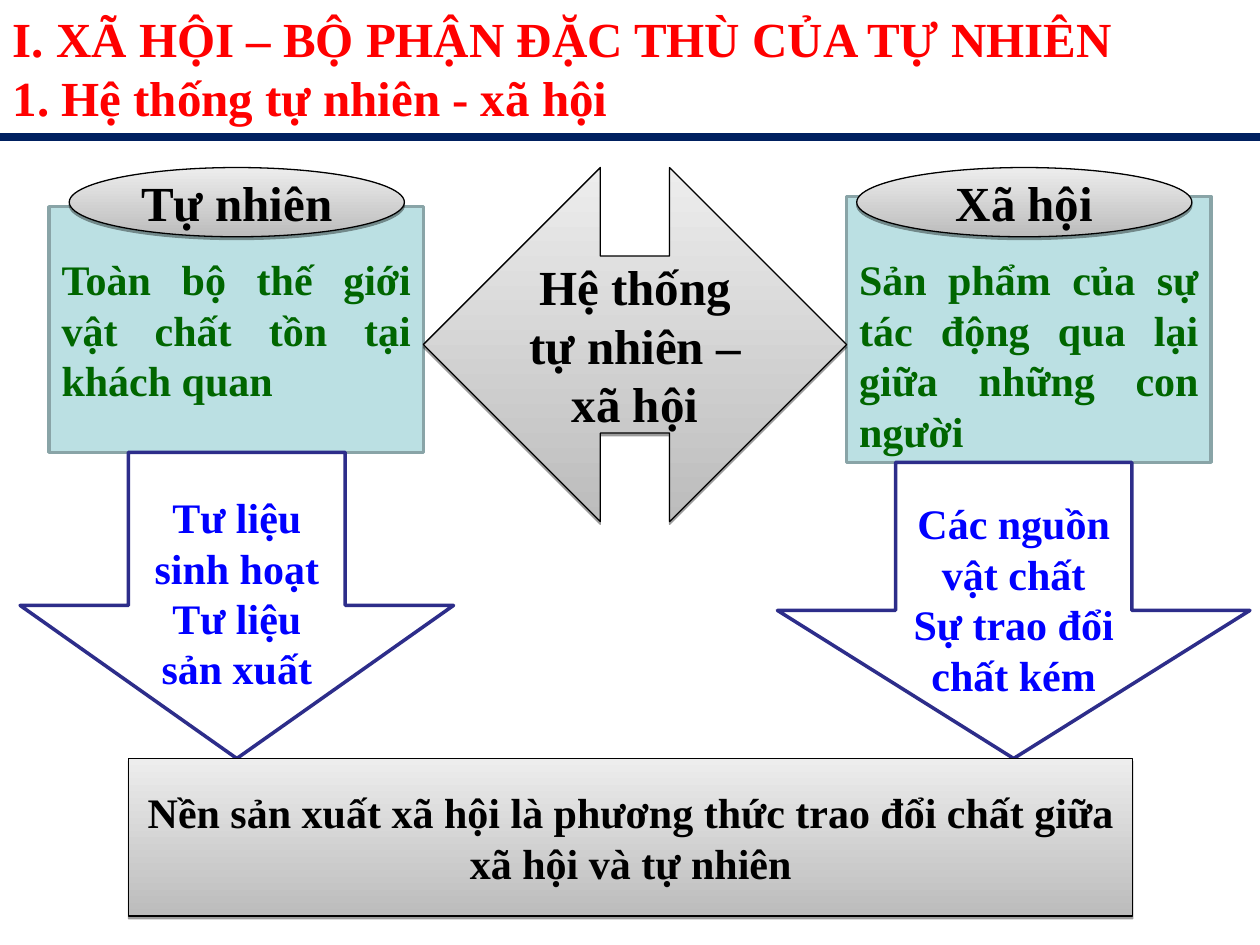
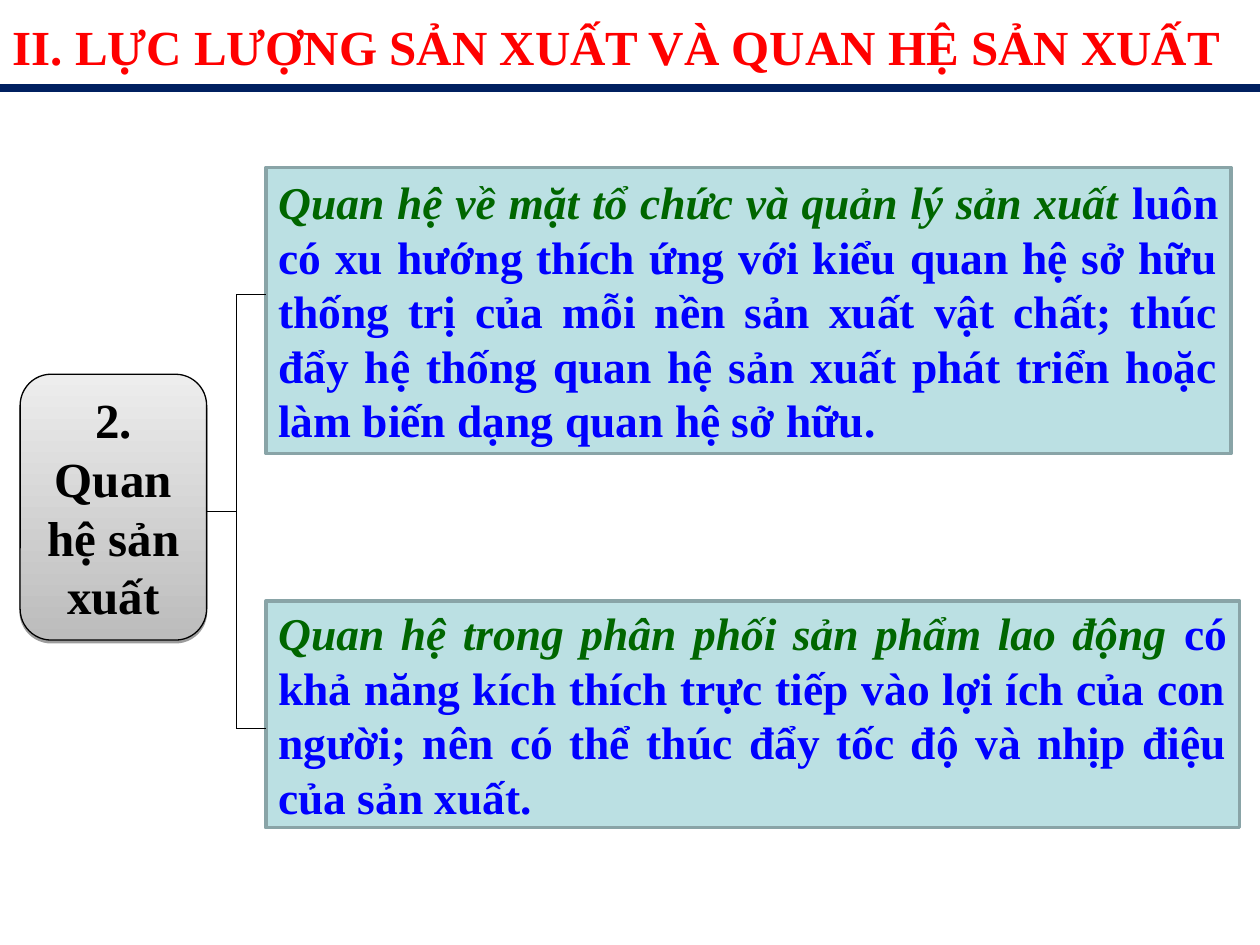
from lxml.etree import SubElement
from pptx import Presentation
from pptx.dml.color import RGBColor
from pptx.enum.shapes import MSO_CONNECTOR, MSO_SHAPE
from pptx.enum.text import MSO_ANCHOR, MSO_AUTO_SIZE, PP_ALIGN
from pptx.oxml.ns import qn
from pptx.util import Inches, Pt

FONT = "Times New Roman"
RED, NAVY, BLACK = "FF0000", "002060", "000000"
GREEN, BLUE = "006600", "0000FF"
# Look: fill (two colours make a bottom-to-top gradient), line, line width
GREY = (("BCBCBC", "EDEDED"), BLACK, 0.75)
TEAL = (("BBE0E3",), "89A4A7", 2)
WHITE = (("FFFFFF",), "2D2D8A", 2)
color = RGBColor.from_string

deck = Presentation()
deck.slide_width, deck.slide_height = Inches(10), Inches(7.5)
# Positions are percentages of the slide's width and height
COL, ROW = deck.slide_width / 100, deck.slide_height / 100


def draw(page, kind, area, look, size, paras, align=PP_ALIGN.CENTER, drop=0):
    """Add a shape; paras holds lists of (text, colour, italic), drop lowers the text."""
    x, y, w, h = area
    shape = page.shapes.add_shape(kind, int(x * COL), int(y * ROW), int(w * COL), int(h * ROW))
    fills, edge, width = look
    if len(fills) == 2:
        shape.fill.gradient()
        shape.fill.gradient_angle = 90
        for stop, tone in zip(shape.fill.gradient_stops, fills):
            stop.color.rgb = color(tone)
    else:
        shape.fill.solid()
        shape.fill.fore_color.rgb = color(fills[0])
    shape.line.color.rgb = color(edge)
    shape.line.width = Pt(width)
    shape.shadow.inherit = False
    if look is GREY:
        effects = shape._element.spPr.find(qn("a:effectLst"))
        shade = SubElement(effects, qn("a:outerShdw"), blurRad="0", dist=str(Pt(1.6)),
                           dir="5400000", rotWithShape="0")
        tint = SubElement(shade, qn("a:srgbClr"), val=BLACK)
        SubElement(tint, qn("a:alpha"), val="38000")
    frame = shape.text_frame
    frame.word_wrap = True
    frame.vertical_anchor = MSO_ANCHOR.MIDDLE
    frame.margin_top = Inches(0.05 + drop)
    for i, runs in enumerate(paras):
        para = frame.add_paragraph() if i else frame.paragraphs[0]
        para.alignment = align
        para.font.name, para.font.size, para.font.bold = FONT, Pt(size), True
        for text, tone, slant in runs:
            run = para.add_run()
            run.text = text
            run.font.color.rgb = color(tone)
            run.font.italic = slant


def rule(page, x1, y1, x2, y2, tone, width):
    line = page.shapes.add_connector(MSO_CONNECTOR.STRAIGHT, int(x1 * COL), int(y1 * ROW),
                                     int(x2 * COL), int(y2 * ROW))
    line.line.color.rgb = color(tone)
    line.line.width = Pt(width)
    SubElement(line._element.spPr, qn("a:effectLst"))


# Headings: title lines, title top and height, height of the rule
heads = [
    (["I. XÃ HỘI – BỘ PHẬN ĐẶC THÙ CỦA TỰ NHIÊN", "1. Hệ thống tự nhiên - xã hội"],
     0.27, 13.87, 14.53),
    (["II. LỰC LƯỢNG SẢN XUẤT VÀ QUAN HỆ SẢN XUẤT"], 1.07, 7.6, 9.33),
]
pages = []
for lines, top, tall, under in heads:
    page = deck.slides.add_slide(deck.slide_layouts[5])
    pages.append(page)
    rule(page, 0, under, 100, under, NAVY, 4.5)
    title = page.shapes.title
    title.left, title.top = 0, int(top * ROW)
    title.width, title.height = deck.slide_width, int(tall * ROW)
    frame = title.text_frame
    frame.text = "\n".join(lines)
    frame.word_wrap = True
    frame.auto_size = MSO_AUTO_SIZE.NONE
    frame.vertical_anchor = MSO_ANCHOR.TOP
    for para in frame.paragraphs:
        para.alignment = PP_ALIGN.JUSTIFY
        para.font.name, para.font.size, para.font.bold = FONT, Pt(28), True
        para.font.color.rgb = color(RED)

# Slide 1: nature and society meet in one system and in production
system, links = pages
TOP, BASE = 17.73, 80.27
LINE = 0.4  # one text line, in inches
sides = [
    ("Tự nhiên", 5.5, (3.9, 21.87, 29.7, 26), 0,
     "Toàn bộ thế giới vật chất tồn tại khách quan",
     1.6, 34.4, ["Tư liệu sinh hoạt", "Tư liệu sản xuất"]),
    ("Xã hội", 68, (67.2, 20.8, 28.9, 28.13), LINE,
     "Sản phẩm của sự tác động qua lại giữa những con người",
     61.7, 37.5, ["Các nguồn vật chất", "Sự trao đổi chất kém"]),
]
for name, left, area, drop, text, start, span, goods in sides:
    draw(system, MSO_SHAPE.RECTANGLE, area, TEAL, 24, [[(text, GREEN, False)]],
         PP_ALIGN.JUSTIFY, drop)
    draw(system, MSO_SHAPE.OVAL, (left, TOP, 26.6, 7.33), GREY, 28, [[(name, BLACK, False)]])
    foot = area[1] + area[3]
    draw(system, MSO_SHAPE.DOWN_ARROW, (start, foot, span, BASE - foot), WHITE, 24,
         [[(good, BLUE, False)] for good in goods], drop=LINE)
draw(system, MSO_SHAPE.LEFT_RIGHT_ARROW, (33.6, TOP, 33.6, 37.47), GREY, 28,
     [[("Hệ thống tự nhiên – xã hội", BLACK, False)]])
draw(system, MSO_SHAPE.RECTANGLE, (10.2, BASE, 79.7, 16.67), GREY, 24,
     [[("Nền sản xuất xã hội là phương thức trao đổi chất giữa xã hội và tự nhiên",
        BLACK, False)]])

# Slide 2: a root with two branches
ROOT, STEM, LEAF = 16.4, 18.75, 21.1
leaves = [
    (TOP, 76.6, 30.27, 31.2, "Quan hệ về mặt tổ chức và quản lý sản xuất ",
     "luôn có xu hướng thích ứng với kiểu quan hệ sở hữu thống trị của mỗi nền sản xuất "
     "vật chất; thúc đẩy hệ thống quan hệ sản xuất phát triển hoặc làm biến dạng quan hệ "
     "sở hữu."),
    (63.6, 77.3, 24, 77.07, "Quan hệ trong phân phối sản phẩm lao động ",
     "có khả năng kích thích trực tiếp vào lợi ích của con người; nên có thể thúc đẩy "
     "tốc độ và nhịp điệu của sản xuất."),
]
for top, wide, tall, joint, term, text in leaves:
    draw(links, MSO_SHAPE.RECTANGLE, (LEAF, top, wide, tall), TEAL, 26,
         [[(term, GREEN, True), (text, BLUE, False)]], PP_ALIGN.JUSTIFY)
    rule(links, STEM, joint, LEAF, joint, BLACK, 0.75)
draw(links, MSO_SHAPE.ROUNDED_RECTANGLE, (1.6, 39.6, ROOT - 1.6, 28.13), GREY, 28,
     [[("2. Quan hệ sản xuất", BLACK, False)]])
high, low = [leaf[3] for leaf in leaves]
rule(links, STEM, high, STEM, low, BLACK, 0.75)
rule(links, ROOT, (high + low) / 2, STEM, (high + low) / 2, BLACK, 0.75)

deck.save("out.pptx")
